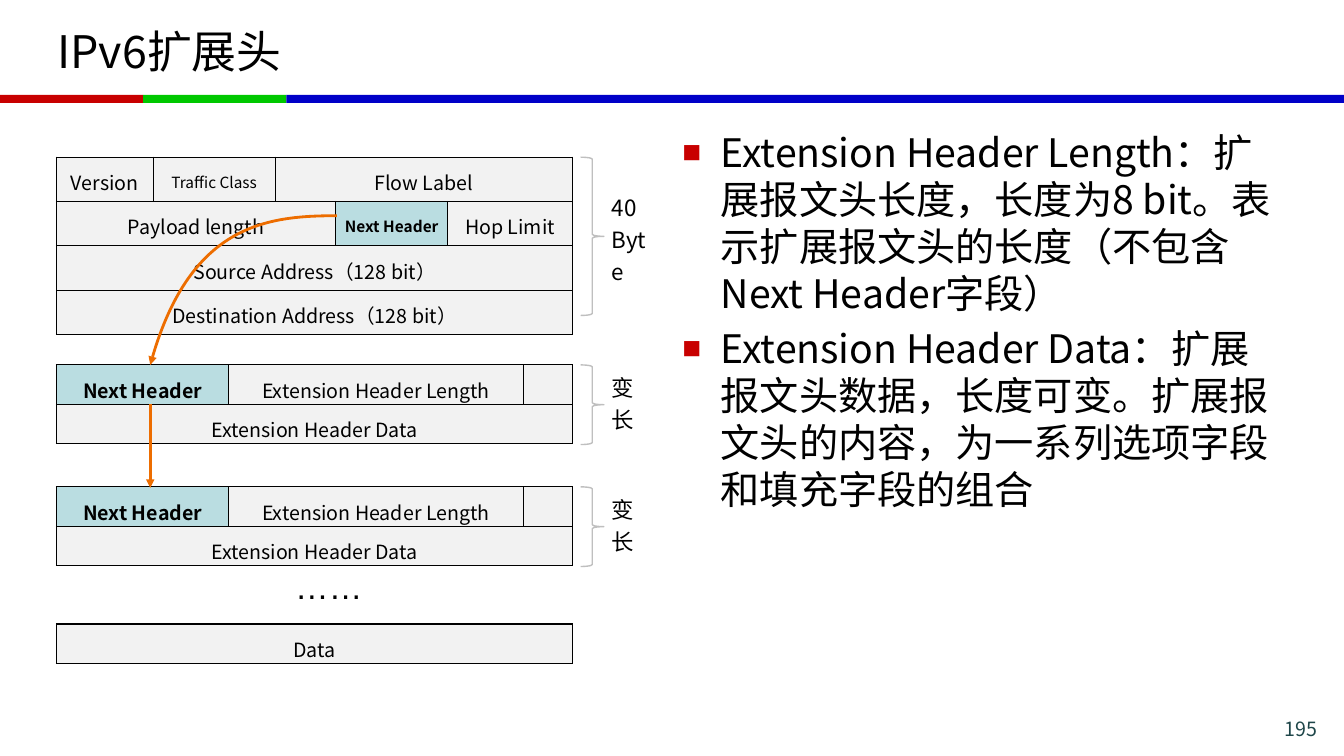
from dataclasses import dataclass

from lxml import etree
from pptx import Presentation
from pptx.dml.color import RGBColor
from pptx.enum.shapes import MSO_CONNECTOR, MSO_SHAPE
from pptx.enum.text import MSO_ANCHOR, PP_ALIGN
from pptx.oxml.ns import qn
from pptx.util import Inches, Pt

LEFT, CENTER, RIGHT = PP_ALIGN.LEFT, PP_ALIGN.CENTER, PP_ALIGN.RIGHT
TOP, MIDDLE = MSO_ANCHOR.TOP, MSO_ANCHOR.MIDDLE
RECTANGLE, RIGHT_BRACE = MSO_SHAPE.RECTANGLE, MSO_SHAPE.RIGHT_BRACE
STRAIGHT = MSO_CONNECTOR.STRAIGHT


@dataclass(frozen=True)
class Theme:
    font: str = "Noto Sans CJK SC"
    dots_font: str = "Arial"
    black: str = "000000"
    red: str = "C80000"
    green: str = "00C800"
    blue: str = "0000C8"
    cell: str = "F2F2F2"
    highlight: str = "BADDE1"
    brace: str = "BFBFBF"
    arrow: str = "ED6D00"
    number: str = "1E4649"
    title_size: int = 32
    body_size: int = 28
    dots_size: int = 24
    brace_size: int = 16
    cell_size: int = 14
    small_size: int = 11


THEME = Theme()
ROW = 0.39
HEADER_ROW = 0.44
EXTENSION_COLUMNS = [1.71, 2.92, 0.49]
# Each field: text, columns spanned, type size, highlighted
HEADER_FIELDS = [
    [("Version", 1, THEME.cell_size, False),
     ("Traffic Class", 1, THEME.small_size, False),
     ("Flow Label", 3, THEME.cell_size, False)],
    [("Payload length", 3, THEME.cell_size, False),
     ("Next Header", 1, THEME.small_size, True),
     ("Hop Limit", 1, THEME.cell_size, False)],
    [("Source Address（128 bit）", 5, THEME.cell_size, False)],
    [("Destination Address（128 bit）", 5, THEME.cell_size, False)],
]
EXTENSION_FIELDS = [
    [("Next Header", 1, THEME.cell_size, True),
     ("Extension Header Length", 1, THEME.cell_size, False),
     ("", 1, THEME.cell_size, False)],
    [("Extension Header Data", 3, THEME.cell_size, False)],
]
BODY = [
    "Extension Header Length：扩展报文头长度，长度为8 bit。表示扩展报文头的长度（不包含Next Header字段）",
    "Extension Header Data：扩展报文头数据，长度可变。扩展报文头的内容，为一系列选项字段和填充字段的组合",
]


def color(value):
    return RGBColor.from_string(value)


def format_paragraph(paragraph, size, ink=THEME.black, font=THEME.font,
                     bold=False, align=LEFT, spacing=None):
    paragraph.alignment = align
    paragraph.line_spacing = spacing
    for run in paragraph.runs:
        run.font.size = Pt(size)
        run.font.bold = bold
        run.font.name = font
        run.font.color.rgb = color(ink)
        east_asian = etree.Element(qn("a:ea"), typeface=font)
        run.font._element.find(qn("a:latin")).addnext(east_asian)


def add_text(slide, box, lines, size, anchor=TOP, **style):
    text_frame = slide.shapes.add_textbox(*map(Inches, box)).text_frame
    text_frame.word_wrap = True
    text_frame.vertical_anchor = anchor
    text_frame.text = "\n".join(lines)
    for paragraph in text_frame.paragraphs:
        format_paragraph(paragraph, size, **style)
    return text_frame


def add_rule(slide, left, top, width, height):
    """Draw the three-coloured bar under the title."""
    step = 1.42
    for offset, length, fill in [(0, step, THEME.red), (step, step, THEME.green),
                                 (2 * step, width - 2 * step, THEME.blue)]:
        bar = slide.shapes.add_shape(RECTANGLE, Inches(left + offset), Inches(top),
                                     Inches(length), Inches(height))
        bar.fill.solid()
        bar.fill.fore_color.rgb = color(fill)
        bar.line.fill.background()
        bar.shadow.inherit = False


def add_body(slide, box):
    text_frame = add_text(slide, box, BODY, THEME.body_size, spacing=Pt(33.6))
    for paragraph in text_frame.paragraphs:
        paragraph.space_before = Pt(0.2 * THEME.body_size)
        properties = paragraph._p.get_or_add_pPr()
        properties.set("marL", str(Inches(0.38)))
        properties.set("indent", str(-Inches(0.38)))
        bullet_color = etree.SubElement(properties, qn("a:buClr"))
        etree.SubElement(bullet_color, qn("a:srgbClr"), val=THEME.red)
        etree.SubElement(properties, qn("a:buSzPct"), val="80000")
        etree.SubElement(properties, qn("a:buFont"), typeface=THEME.dots_font)
        etree.SubElement(properties, qn("a:buChar"), char="■")


def format_cell(cell, fill):
    cell.vertical_anchor = MIDDLE
    cell.margin_top = cell.margin_bottom = 0
    properties = cell._tc.get_or_add_tcPr()
    for side in ("lnL", "lnR", "lnT", "lnB"):
        line = etree.SubElement(properties, qn(f"a:{side}"), w=str(Pt(1)))
        solid = etree.SubElement(line, qn("a:solidFill"))
        etree.SubElement(solid, qn("a:srgbClr"), val=THEME.black)
    cell.fill.solid()
    cell.fill.fore_color.rgb = color(fill)


def add_packet(slide, left, top, columns, row_height, fields):
    """Draw a header layout as a table, one list of fields per row."""
    table = slide.shapes.add_table(
        len(fields), len(columns), Inches(left), Inches(top),
        Inches(sum(columns)), Inches(row_height * len(fields))).table
    table.first_row = table.horz_banding = False
    for column, width in zip(table.columns, columns):
        column.width = Inches(width)
    for row_index, row_fields in enumerate(fields):
        table.rows[row_index].height = Inches(row_height)
        start = 0
        for text, span, size, highlighted in row_fields:
            for index in range(start, start + span):
                format_cell(table.cell(row_index, index),
                            THEME.highlight if highlighted else THEME.cell)
            cell = table.cell(row_index, start)
            if span > 1:
                cell.merge(table.cell(row_index, start + span - 1))
            if text:
                cell.margin_top = Inches(0.05)
                cell.margin_bottom = Inches(0.05 if row_height > ROW else 0)
                cell.margin_left = cell.margin_right = Inches(0.05)
                cell.text_frame.text = text
                format_paragraph(cell.text_frame.paragraphs[0], size, bold=highlighted,
                                 align=CENTER, spacing=Pt(1.72 * size))
            start += span


def add_brace(slide, left, top, height, lines, label_width, label_offset):
    brace = slide.shapes.add_shape(RIGHT_BRACE, Inches(left), Inches(top),
                                   Inches(0.23), Inches(height))
    brace.fill.background()
    brace.line.color.rgb = color(THEME.brace)
    brace.line.width = Pt(1)
    brace.shadow.inherit = False
    label_box = (left + 0.21, top + label_offset, label_width, 0.72)
    add_text(slide, label_box, lines, THEME.brace_size, MIDDLE, spacing=Pt(23))


def format_arrow(arrow, end):
    arrow.line.color.rgb = color(THEME.arrow)
    arrow.line.width = Pt(2)
    etree.SubElement(arrow.line._get_or_add_ln(), qn(f"a:{end}"), type="triangle")


def add_curved_arrow(slide, *points):
    """Draw a cubic curve through tip, two control points and start."""
    tip, *others = [tuple(map(Inches, point)) for point in points]
    builder = slide.shapes.build_freeform(*tip)
    builder.add_line_segments(others, close=False)
    curve = builder.convert_to_shape()
    path_element = next(curve._element.iter(qn("a:path")))
    bezier = etree.SubElement(path_element, qn("a:cubicBezTo"))
    for segment in path_element.findall(qn("a:lnTo")):
        bezier.append(segment[0])
        path_element.remove(segment)
    curve.fill.background()
    curve.shadow.inherit = False
    format_arrow(curve, "headEnd")


def add_straight_arrow(slide, start, tip):
    arrow = slide.shapes.add_connector(STRAIGHT, *map(Inches, start + tip))
    format_arrow(arrow, "tailEnd")
    etree.SubElement(arrow._element.spPr, qn("a:effectLst"))


def add_diagram(slide, left, top):
    """Draw the fixed header, the chained extension headers and the data."""
    brace_left = left + 5.2
    add_packet(slide, left, top, [0.96, 1.21, 0.6, 1.11, 1.24], HEADER_ROW, HEADER_FIELDS)
    add_brace(slide, brace_left, top, 1.57, ["40", "Byte"], 0.64, 0.43)
    for offset in (2.06, 3.27):
        add_packet(slide, left, top + offset, EXTENSION_COLUMNS, ROW, EXTENSION_FIELDS)
        add_brace(slide, brace_left, top + offset, 0.79, ["变", "长"], 0.42, 0)
    add_text(slide, (left + 2.27, top + 3.94, 0.97, 0.54), ["……"], THEME.dots_size,
             MIDDLE, font=THEME.dots_font, spacing=1.2)
    add_packet(slide, left, top + 4.63, [sum(EXTENSION_COLUMNS)], ROW,
               [[("Data", 1, THEME.cell_size, False)]])
    arrow_x = left + 0.93
    add_curved_arrow(slide, (arrow_x, top + 2.06), (left + 1.31, top + 0.66),
                     (left + 2.1, top + 0.58), (left + 2.78, top + 0.58))
    add_straight_arrow(slide, (arrow_x, top + 2.45), (arrow_x, top + 3.28))


def add_page_number(slide, box, number):
    text_frame = add_text(slide, box, [number], THEME.cell_size,
                          ink=THEME.number, align=RIGHT)
    text_frame.margin_top = Inches(0.05)
    text_frame.margin_bottom = 0


def main():
    presentation = Presentation()
    presentation.slide_width = Inches(13.33)
    presentation.slide_height = Inches(7.5)
    slide = presentation.slides.add_slide(presentation.slide_layouts[6])
    add_rule(slide, 0, 0.94, 13.33, 0.08)
    add_text(slide, (0.47, 0.08, 12.39, 0.84), ["IPv6扩展头"], THEME.title_size, MIDDLE)
    add_body(slide, (6.67, 1.22, 6.19, 5.95))
    add_diagram(slide, 0.56, 1.56)
    add_page_number(slide, (12.02, 7.06, 1.14, 0.23), "195")
    presentation.save("out.pptx")


if __name__ == "__main__":
    main()
